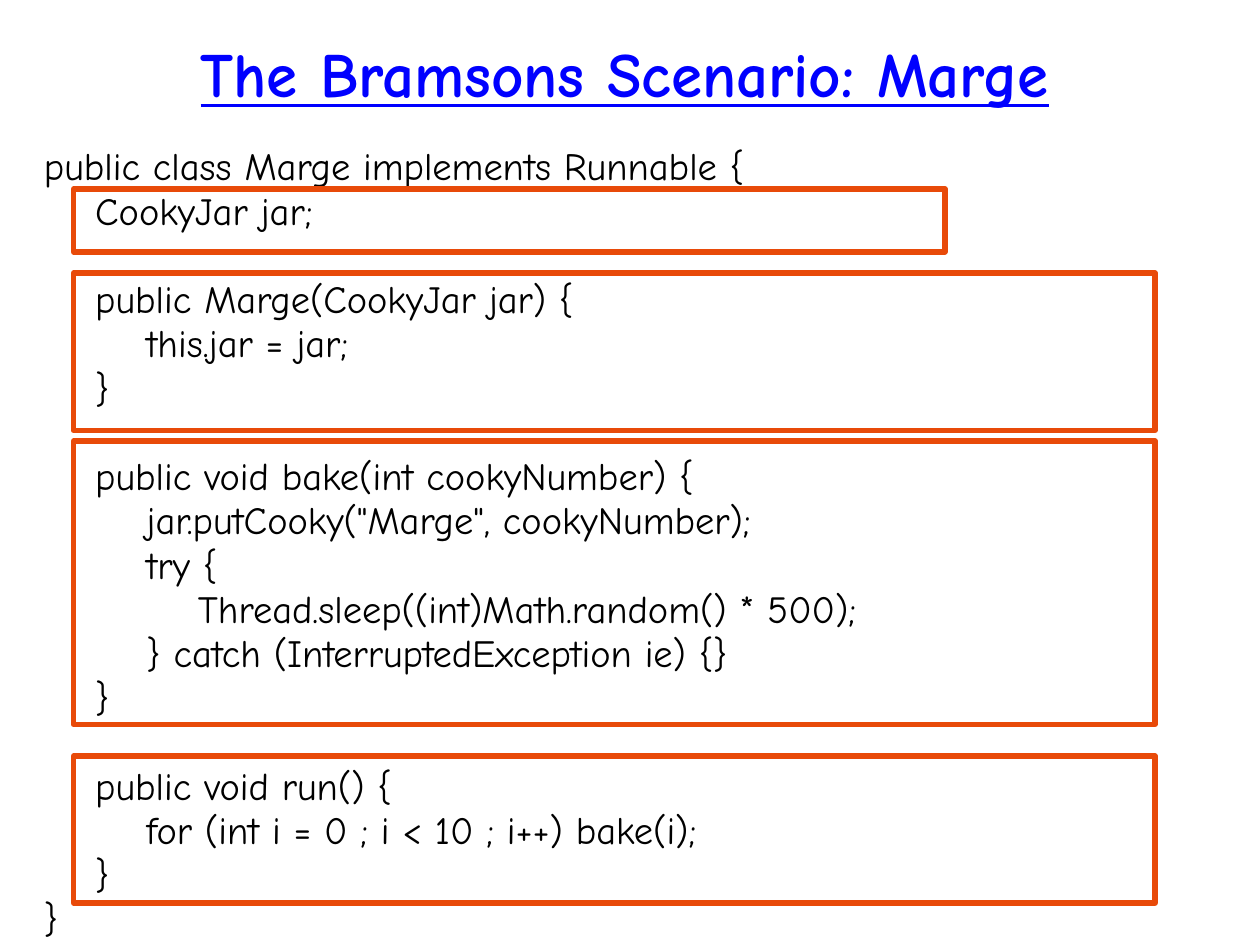
from dataclasses import dataclass

from pptx import Presentation
from pptx.dml.color import RGBColor
from pptx.enum.shapes import MSO_SHAPE
from pptx.enum.text import MSO_ANCHOR, PP_ALIGN
from pptx.util import Inches, Pt


@dataclass(frozen=True)
class Theme:
    font: str = "Comic Neue"
    title: RGBColor = RGBColor(0x00, 0x00, 0xFF)
    code: RGBColor = RGBColor(0x00, 0x00, 0x00)
    frame: RGBColor = RGBColor(0xE8, 0x4A, 0x09)
    title_size: Pt = Pt(36)
    code_size: Pt = Pt(22)
    frame_width: Pt = Pt(3)
    line_gap: Pt = Pt(5.5)
    block_gap: Pt = Pt(30.75)  # one empty code line plus the normal gap


THEME = Theme()
COLS, ROWS = 120, 90  # slide grid, twelve cells to the inch
CELL = Inches(10) // COLS

# Each block of code is set apart by a wider gap
CODE_BLOCKS = [
    """public class Marge implements Runnable {
    CookyJar jar;""",
    """    public Marge(CookyJar jar) {
        this.jar = jar;
    }""",
    """    public void bake(int cookyNumber) {
        jar.putCooky("Marge", cookyNumber);
        try {
            Thread.sleep((int)Math.random() * 500);
        } catch (InterruptedException ie) {}
    }""",
    """    public void run() {
        for (int i = 0 ; i < 10 ; i++) bake(i);
    }
}""",
]

# Boxes in grid cells: left, top, width, height
TITLE_BOX = (12, 2, 95, 11)
CODE_BOX = (3, 14, 114, 54)
FRAME_LEFT = 7
FRAME_ROWS = [(18, 83, 6), (26, 103, 15), (42, 103, 27), (72, 103, 14)]


def cells(box):
    return [n * CELL for n in box]


def style(obj, formats):
    for name, value in formats.items():
        setattr(obj, name, value)


def add_line(p, text, color, paragraph_format, font_format):
    style(p, paragraph_format)
    r = p.add_run()
    r.text = text
    style(r.font, {"name": THEME.font, **font_format})
    r.font.color.rgb = color


def add_text_frame(slide, box, anchor):
    tf = slide.shapes.add_textbox(*cells(box)).text_frame
    style(tf, {"word_wrap": True, "vertical_anchor": anchor})
    return tf


def add_title(slide, box, text):
    tf = add_text_frame(slide, box, MSO_ANCHOR.MIDDLE)
    add_line(tf.paragraphs[0], text, THEME.title,
             {"alignment": PP_ALIGN.CENTER, "line_spacing": 0.85},
             {"size": THEME.title_size, "bold": True, "underline": True})


def add_code(slide, box, blocks):
    tf = add_text_frame(slide, box, MSO_ANCHOR.TOP)
    for b, block in enumerate(blocks):
        for i, text in enumerate(block.splitlines()):
            first = b == 0 and i == 0
            p = tf.paragraphs[0] if first else tf.add_paragraph()
            gap = THEME.line_gap if i else THEME.block_gap
            add_line(p, text, THEME.code,
                     {"line_spacing": 0.75, "space_before": Pt(0) if first else gap},
                     {"size": THEME.code_size})


def add_frame(slide, box):
    sp = slide.shapes.add_shape(MSO_SHAPE.RECTANGLE, *cells(box))
    sp.shadow.inherit = False
    sp.fill.background()
    sp.line.color.rgb = THEME.frame
    sp.line.width = THEME.frame_width


def main():
    prs = Presentation()
    style(prs, {"slide_width": COLS * CELL, "slide_height": ROWS * CELL})
    slide = prs.slides.add_slide(prs.slide_layouts[6])

    # Code listing and heading
    add_code(slide, CODE_BOX, CODE_BLOCKS)
    add_title(slide, TITLE_BOX, "The Bramsons Scenario: Marge")

    # Frames around the members of the class
    for top, width, height in FRAME_ROWS:
        add_frame(slide, (FRAME_LEFT, top, width, height))

    prs.save("out.pptx")


if __name__ == "__main__":
    main()
